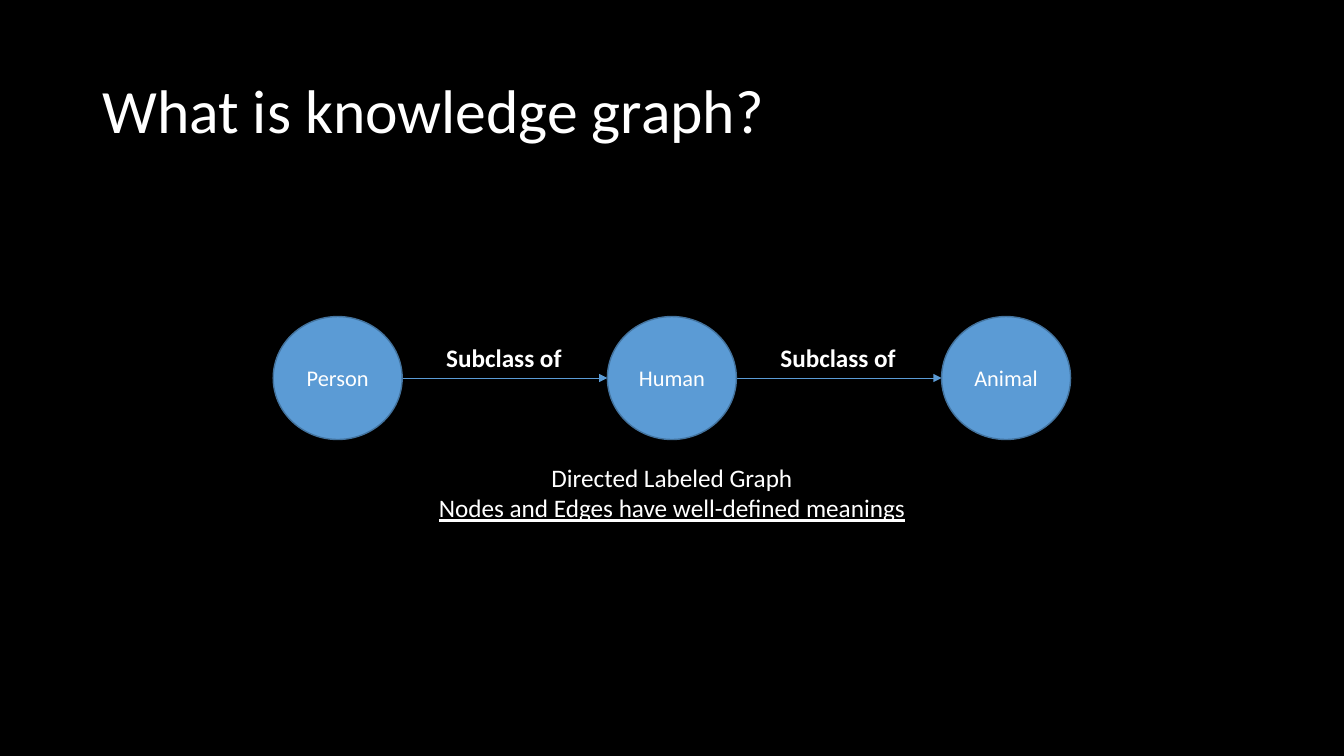
from dataclasses import dataclass
from itertools import pairwise

from lxml.etree import SubElement
from pptx import Presentation
from pptx.dml.color import RGBColor
from pptx.enum.shapes import MSO_CONNECTOR, MSO_SHAPE
from pptx.enum.text import MSO_ANCHOR, PP_ALIGN
from pptx.oxml.ns import qn
from pptx.util import Inches, Pt


@dataclass(frozen=True)
class Theme:
    font: str = "Calibri"
    background: RGBColor = RGBColor.from_string("000000")
    text: RGBColor = RGBColor.from_string("FFFFFF")
    node: RGBColor = RGBColor.from_string("5B9BD5")
    outline: RGBColor = RGBColor.from_string("43739E")
    title_size: int = 44
    body_size: int = 18
    node_size: int = 16
    outline_width: float = 1
    edge_width: float = 0.5


@dataclass(frozen=True)
class Box:
    left: int
    top: int
    width: int
    height: int

    def share(self, left, top, width, height):
        return Box(
            int(self.left + self.width * left / 100),
            int(self.top + self.height * top / 100),
            int(self.width * width / 100),
            int(self.height * height / 100),
        )

    @property
    def right(self):
        return self.left + self.width

    @property
    def middle(self):
        return self.top + self.height // 2

    @property
    def bounds(self):
        return self.left, self.top, self.width, self.height


THEME = Theme()


def write(frame, lines, size, align=PP_ALIGN.LEFT, anchor=MSO_ANCHOR.TOP, wrap=False):
    frame.word_wrap = wrap
    frame.vertical_anchor = anchor
    frame.text = "\n".join(lines)
    for paragraph in frame.paragraphs:
        paragraph.alignment = align
        paragraph.font.name = THEME.font
        paragraph.font.size = Pt(size)
        paragraph.font.color.rgb = THEME.text
    return frame.paragraphs


def add_title(page, box, text):
    frame = page.shapes.add_textbox(*box.bounds).text_frame
    paragraphs = write(frame, [text], THEME.title_size, anchor=MSO_ANCHOR.MIDDLE, wrap=True)
    paragraphs[0].line_spacing = 0.9


def add_node(page, box, name):
    node = page.shapes.add_shape(MSO_SHAPE.OVAL, *box.bounds)
    node.shadow.inherit = False
    node.fill.solid()
    node.fill.fore_color.rgb = THEME.node
    node.line.color.rgb = THEME.outline
    node.line.width = Pt(THEME.outline_width)
    write(node.text_frame, [name], THEME.node_size, PP_ALIGN.CENTER, MSO_ANCHOR.MIDDLE, True)


def add_edge(page, start, end):
    edge = page.shapes.add_connector(
        MSO_CONNECTOR.STRAIGHT, start.right, start.middle, end.left, end.middle
    )
    edge.line.color.rgb = THEME.node
    edge.line.width = Pt(THEME.edge_width)
    properties = edge.element.spPr
    SubElement(properties.find(qn("a:ln")), qn("a:tailEnd"), type="triangle")
    SubElement(properties, qn("a:effectLst"))


def add_graph(page, box, names, relation):
    node_width, label_width = 16.18, 17.2
    pitch = (100 - node_width) / (len(names) - 1)
    node_boxes = [box.share(index * pitch, 0, node_width, 100) for index in range(len(names))]
    for index, (start, end) in enumerate(pairwise(node_boxes)):
        add_edge(page, start, end)
        label_left = (index + 0.5) * pitch + (node_width - label_width) / 2
        label = page.shapes.add_textbox(*box.share(label_left, 17, label_width, 33).bounds)
        write(label.text_frame, [relation], THEME.body_size)[0].font.bold = True
    for node_box, name in zip(node_boxes, names):
        add_node(page, node_box, name)


def add_caption(page, box, lines):
    frame = page.shapes.add_textbox(*box.bounds).text_frame
    paragraphs = write(frame, lines, THEME.body_size, PP_ALIGN.CENTER)
    paragraphs[-1].font.underline = True


def main():
    deck = Presentation()
    deck.slide_width, deck.slide_height = Inches(13.33), Inches(7.5)
    page = deck.slides.add_slide(deck.slide_layouts[6])
    page.background.fill.solid()
    page.background.fill.fore_color.rgb = THEME.background
    slide = Box(0, 0, deck.slide_width, deck.slide_height)

    add_title(page, slide.share(6.88, 5.33, 86.25, 19.33), "What is knowledge graph?")
    add_graph(
        page,
        slide.share(20.33, 41.87, 59.33, 16.27),
        ["Person", "Human", "Animal"],
        "Subclass of",
    )
    add_caption(
        page,
        slide.share(31.66, 60.53, 36.68, 9.47),
        ["Directed Labeled Graph", "Nodes and Edges have well-defined meanings"],
    )
    deck.save("out.pptx")


if __name__ == "__main__":
    main()
